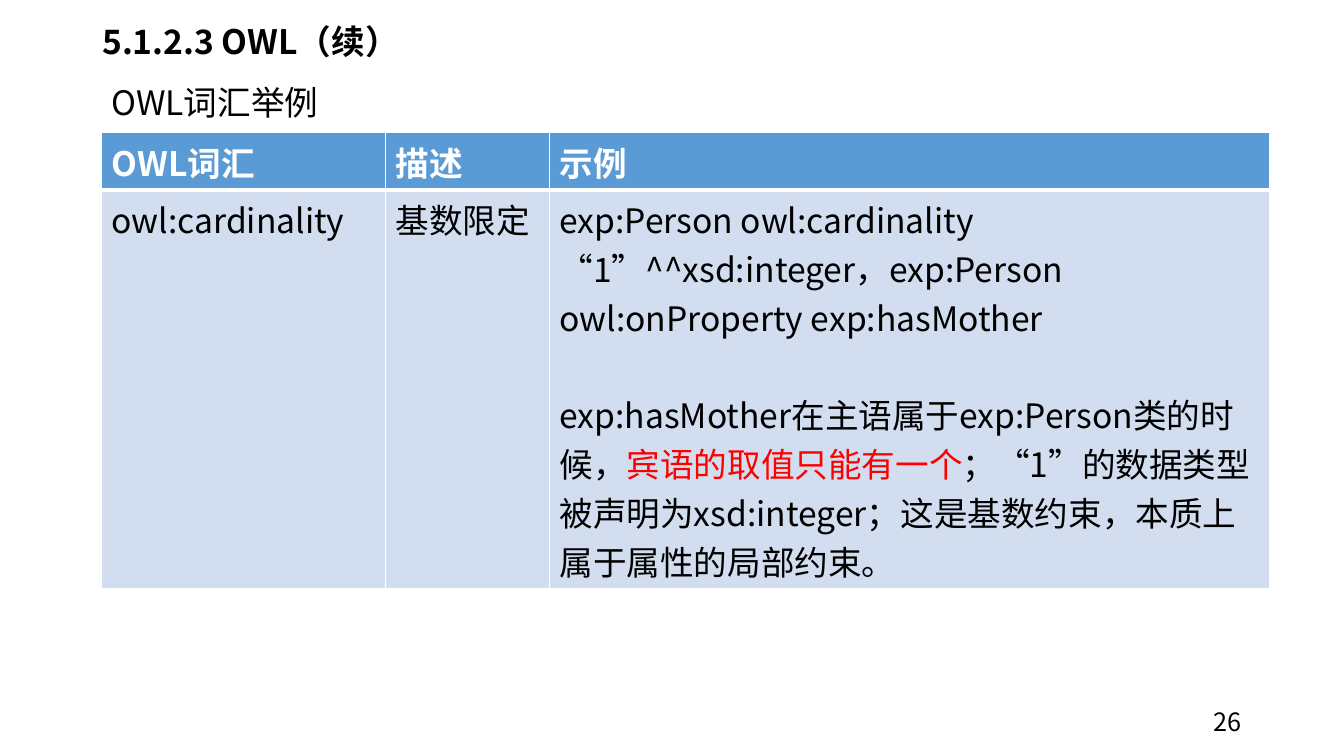
from lxml.etree import SubElement
from pptx import Presentation
from pptx.dml.color import RGBColor
from pptx.enum.text import MSO_ANCHOR, PP_ALIGN
from pptx.oxml.ns import qn
from pptx.util import Pt

FONT = "Noto Sans CJK SC"
BLACK, WHITE, RED = "000000", "FFFFFF", "FF0000"
HEADER_BLUE, BODY_BLUE = "5B9BD5", "D2DEEF"


def color(hex_code):
    return RGBColor.from_string(hex_code)


def write(paragraph, text, size=24, ink=BLACK, bold=False):
    run = paragraph.add_run()
    run.text = text
    run.font.size = Pt(size)
    run.font.bold = bold
    run.font.color.rgb = color(ink)
    run.font.name = FONT
    SubElement(run.font._element, qn("a:ea"), typeface=FONT)


class VocabularySlide:
    def __init__(self, deck):
        self.slide = deck.slides.add_slide(deck.slide_layouts[6])

    def text(self, words, left, top, width, height, anchor=MSO_ANCHOR.TOP,
             align=PP_ALIGN.LEFT, line_spacing=1.0, **style):
        frame = self.slide.shapes.add_textbox(
            Pt(left), Pt(top), Pt(width), Pt(height)).text_frame
        frame.word_wrap = True
        frame.vertical_anchor = anchor
        paragraph = frame.paragraphs[0]
        paragraph.alignment = align
        paragraph.line_spacing = line_spacing
        write(paragraph, words, **style)

    def border(self, cell, **widths):
        properties = cell._tc.get_or_add_tcPr()
        for side in ("L", "R", "T", "B"):
            line = SubElement(properties, qn(f"a:ln{side}"),
                              w=str(Pt(widths.get(side, 1))))
            fill = SubElement(line, qn("a:solidFill"))
            SubElement(fill, qn("a:srgbClr"), val=WHITE)

    def table(self, rows, left, top, widths, heights, paragraph_gap):
        grid = self.slide.shapes.add_table(
            len(rows), len(widths), Pt(left), Pt(top),
            Pt(sum(widths)), Pt(sum(heights))).table
        for column, width in zip(grid.columns, widths):
            column.width = Pt(width)
        for r, (entries, height) in enumerate(zip(rows, heights)):
            grid.rows[r].height = Pt(height)
            header = r == 0
            for c, paragraphs in enumerate(entries):
                cell = grid.cell(r, c)
                self.border(cell, **({"B": 3} if header else {"T": 3}))
                cell.fill.solid()
                cell.fill.fore_color.rgb = color(HEADER_BLUE if header else BODY_BLUE)
                for p, runs in enumerate(paragraphs):
                    frame = cell.text_frame
                    paragraph = frame.add_paragraph() if p else frame.paragraphs[0]
                    if p:
                        paragraph.space_before = Pt(paragraph_gap)
                    for words, ink in runs:
                        write(paragraph, words, ink=ink, bold=header)


def plain(words, ink=BLACK):
    return [[(words, ink)]]


def main():
    deck = Presentation()
    deck.slide_width, deck.slide_height = Pt(960), Pt(540)
    page = VocabularySlide(deck)

    page.text("5.1.2.3 OWL（续）", 66, 5, 828, 53,
              anchor=MSO_ANCHOR.MIDDLE, line_spacing=0.9, bold=True)
    page.text("OWL词汇举例", 72.5, 55, 828, 44)
    page.text("26", 678, 500.5, 216, 29, anchor=MSO_ANCHOR.MIDDLE,
              align=PP_ALIGN.RIGHT, size=18)

    headings = [plain(words, WHITE) for words in ("OWL词汇", "描述", "示例")]
    example = [
        [("exp:Person owl:cardinality “1”^^xsd:integer，"
          "exp:Person owl:onProperty exp:hasMother", BLACK)],
        [("exp:hasMother在主语属于exp:Person类的时候，", BLACK),
         ("宾语的取值只能有一个", RED),
         ("；“1”的数据类型被声明为xsd:integer；"
          "这是基数约束，本质上属于属性的局部约束。", BLACK)],
    ]
    cardinality = [plain("owl:cardinality"), plain("基数限定"), example]
    page.table([headings, cardinality], left=72.5, top=94.5,
               widths=(203, 117, 514.5), heights=(41, 285), paragraph_gap=35)

    deck.save("out.pptx")


if __name__ == "__main__":
    main()
